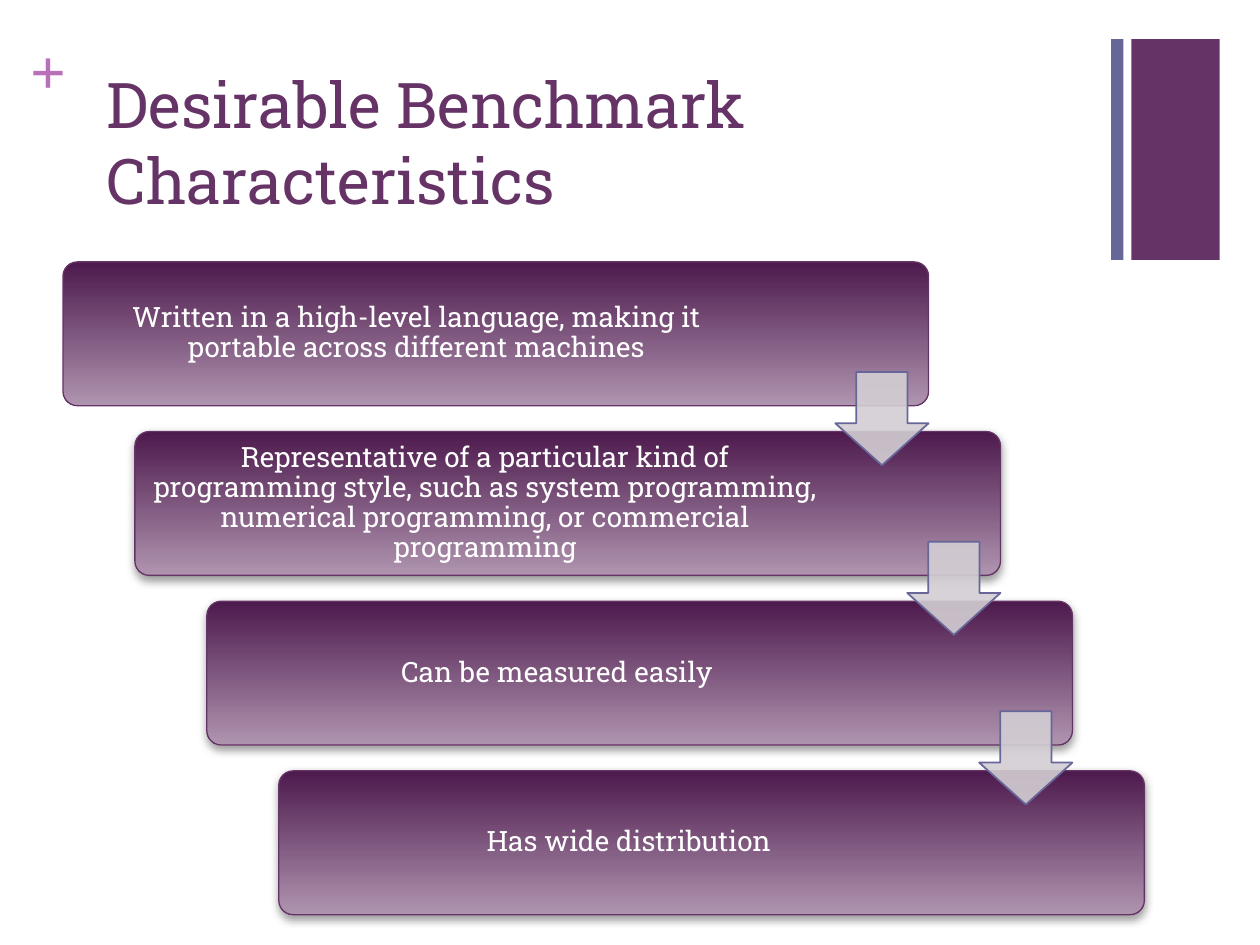
from lxml.etree import SubElement
from pptx import Presentation
from pptx.dml.color import RGBColor
from pptx.enum.shapes import MSO_SHAPE
from pptx.enum.text import MSO_ANCHOR, PP_ALIGN
from pptx.oxml.ns import qn
from pptx.util import Cm, Pt

PLUM = RGBColor(0x66, 0x33, 0x66)
DARK_PLUM = RGBColor(0x4D, 0x1A, 0x4D)
PALE_PLUM = RGBColor(0xAF, 0x94, 0xAF)
ORCHID = RGBColor(0xB8, 0x70, 0xB8)
SLATE = RGBColor(0x66, 0x66, 0x99)
ARROW_GREY = RGBColor(0xD3, 0xCE, 0xD3)
WHITE = RGBColor(0xFF, 0xFF, 0xFF)
FONT = "Roboto Slab"

STEP_X, STEP_Y = 1.45, 3.42
CARD_LEFT, CARD_TOP, CARD_WIDTH, CARD_HEIGHT = 1.27, 5.28, 17.45, 2.9
ARROW_LEFT, ARROW_TOP, ARROW_SIZE = 16.84, 7.5, 1.88
CARD_INSET = 0.09

# Text and the width of its box
CHARACTERISTICS = [
    ("Written in a high-level language, making it portable across different machines", 14.07),
    ("Representative of a particular kind of programming style, such as system "
     "programming, numerical programming, or commercial programming", 13.94),
    ("Can be measured easily", 13.94),
    ("Has wide distribution", 13.94),
]


def set_values(target, values):
    for name, value in values.items():
        setattr(target, name, value)


def write_text(box, text, size, color, font=FONT, bold=False, inset=0.0,
               anchor=MSO_ANCHOR.TOP, align=PP_ALIGN.LEFT, spacing=1.0):
    frame = box.text_frame
    set_values(frame, {
        "word_wrap": True, "vertical_anchor": anchor,
        "margin_left": Cm(inset), "margin_right": Cm(inset),
        "margin_top": Cm(inset), "margin_bottom": Cm(inset),
    })
    para = frame.paragraphs[0]
    set_values(para, {"alignment": align, "line_spacing": spacing})
    span = para.add_run()
    span.text = text
    set_values(span.font, {"name": font, "size": Pt(size), "bold": bold})
    span.font.color.rgb = color


def add_text(page, left, top, width, height, text, **formats):
    box = page.shapes.add_textbox(Cm(left), Cm(top), Cm(width), Cm(height))
    write_text(box, text, **formats)


def add_plain_shape(page, kind, left, top, width, height, adjustments=()):
    shape = page.shapes.add_shape(kind, Cm(left), Cm(top), Cm(width), Cm(height))
    shape.shadow.inherit = False
    for index, value in enumerate(adjustments):
        shape.adjustments[index] = value
    return shape


def set_outline(shape, color, width):
    shape.line.color.rgb = color
    shape.line.width = Pt(width)


def add_bar(page, left, width, color):
    bar = add_plain_shape(page, MSO_SHAPE.RECTANGLE, left, 0.79, width, 4.45)
    bar.fill.solid()
    bar.fill.fore_color.rgb = color
    bar.line.fill.background()


def add_drop_shadow(shape):
    effects = shape._element.spPr.find(qn("a:effectLst"))
    shadow = SubElement(effects, qn("a:outerShdw"), blurRad=str(Pt(5)),
                        dist=str(Pt(2)), dir="5400000", rotWithShape="0")
    color = SubElement(shadow, qn("a:srgbClr"), val="808080")
    SubElement(color, qn("a:alpha"), val="75000")


def add_card(page, index, text, text_width):
    left, top = CARD_LEFT + index * STEP_X, CARD_TOP + index * STEP_Y
    card = add_plain_shape(page, MSO_SHAPE.ROUNDED_RECTANGLE, left, top,
                           CARD_WIDTH, CARD_HEIGHT, [0.1])
    card.fill.gradient()
    card.fill.gradient_angle = 270
    for stop, color in zip(card.fill.gradient_stops, (DARK_PLUM, PALE_PLUM)):
        stop.color.rgb = color
    set_outline(card, PLUM, 0.75)
    if index > 0:
        add_drop_shadow(card)
    add_text(page, left + CARD_INSET, top + CARD_INSET, text_width,
             CARD_HEIGHT - 2 * CARD_INSET, text, size=16, color=WHITE, inset=0.17,
             anchor=MSO_ANCHOR.MIDDLE, align=PP_ALIGN.CENTER, spacing=0.9)


def add_arrow(page, index):
    arrow = add_plain_shape(page, MSO_SHAPE.DOWN_ARROW, ARROW_LEFT + index * STEP_X,
                            ARROW_TOP + index * STEP_Y, ARROW_SIZE, ARROW_SIZE,
                            [0.55, 0.45])
    arrow.fill.solid()
    arrow.fill.fore_color.rgb = ARROW_GREY
    color = arrow._element.spPr.find(qn("a:solidFill")).find(qn("a:srgbClr"))
    SubElement(color, qn("a:alpha"), val="90000")
    set_outline(arrow, SLATE, 1)


def set_title(page, text):
    title = page.shapes.title
    set_values(title, {"left": Cm(1.9), "top": Cm(1.07),
                       "width": Cm(20.98), "height": Cm(3.1)})
    write_text(title, text, size=36, color=PLUM, inset=0.25)


def main():
    deck = Presentation()
    set_values(deck, {"slide_width": Cm(25.4), "slide_height": Cm(19.05)})
    page = deck.slides.add_slide(deck.slide_layouts[5])

    add_bar(page, 22.81, 1.78, PLUM)
    add_text(page, 0.61, 0.64, 0.74, 1.55, "+", size=36, color=ORCHID,
             font="Times New Roman", bold=True)
    add_bar(page, 22.4, 0.25, SLATE)
    set_title(page, "Desirable Benchmark Characteristics")

    for index, (text, text_width) in enumerate(CHARACTERISTICS):
        add_card(page, index, text, text_width)
    for index in range(len(CHARACTERISTICS) - 1):
        add_arrow(page, index)

    deck.save("out.pptx")


if __name__ == "__main__":
    main()
